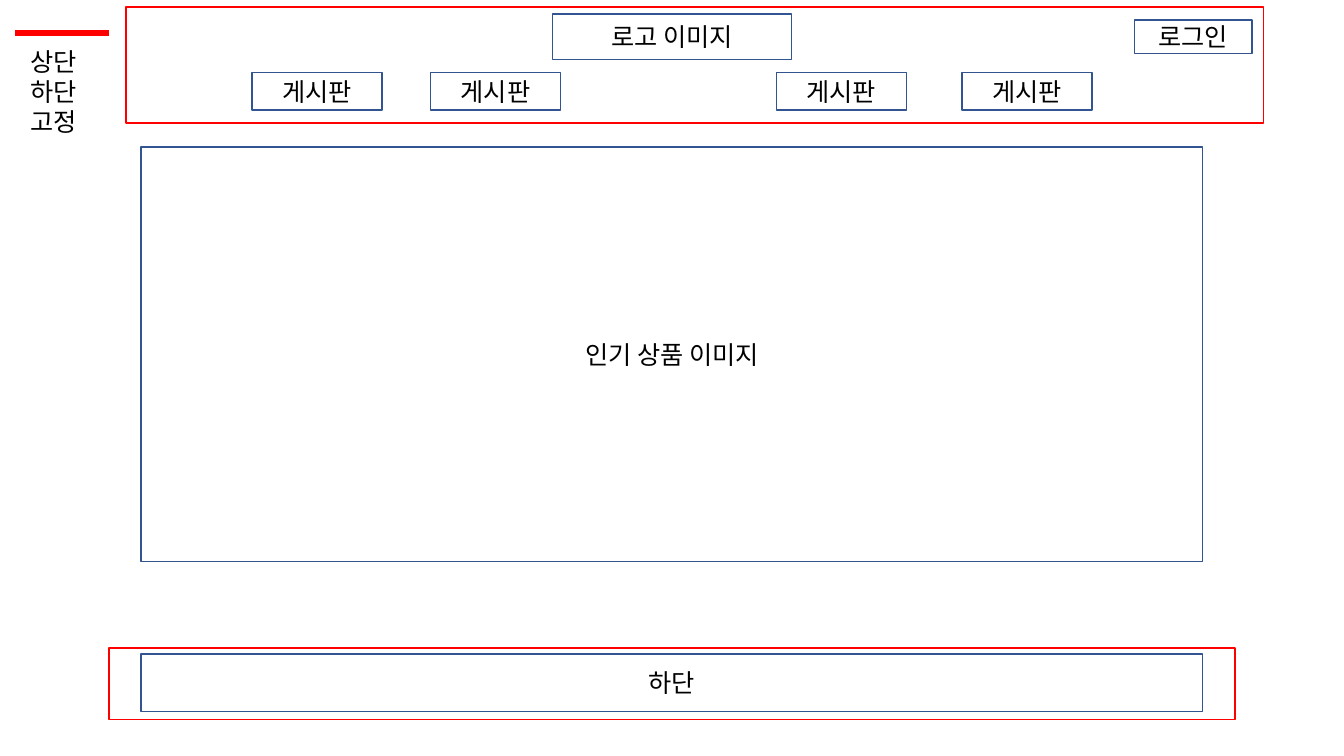
import pptx
import pptx.util
import pptx.dml.color
import pptx.enum.shapes
import pptx.enum.text
import pptx.oxml
import pptx.oxml.ns
from pptx.util import Inches

FONT = "Noto Sans CJK KR"
WHITE, BLACK, RED, BLUE = "FFFFFF", "000000", "FF0000", "325491"


def color(hex_value):
    return pptx.dml.color.RGBColor.from_string(hex_value)


def write(frame, lines, align):
    for index, line in enumerate(lines):
        paragraph = frame.paragraphs[0] if index == 0 else frame.add_paragraph()
        paragraph.alignment = align
        paragraph.line_spacing = pptx.util.Pt(21.4)
        run = paragraph.add_run()
        run.text = line
        for key, value in {"name": FONT, "size": pptx.util.Pt(18)}.items():
            setattr(run.font, key, value)
        run.font.color.rgb = color(BLACK)
        # Korean text takes the East Asian typeface
        east_asian = pptx.oxml.parse_xml(
            f'<a:ea {pptx.oxml.ns.nsdecls("a")} typeface="{FONT}"/>')
        run.font._element.append(east_asian)


presentation = pptx.Presentation()
presentation.slide_width = Inches(13.33)
presentation.slide_height = Inches(7.5)
slide = presentation.slides.add_slide(presentation.slide_layouts[6])

# Red frames mark the fixed areas, blue boxes the page parts
page_parts = [
    (1.08, 6.43, 11.17, 0.71, RED, ""),
    (1.25, 0.07, 11.28, 1.15, RED, ""),
    (5.48, 0.14, 2.37, 0.45, BLUE, "로고 이미지"),
    (11.25, 0.2, 1.17, 0.33, BLUE, "로그인"),
    (1.4, 1.46, 10.53, 4.11, BLUE, "인기 상품 이미지"),
    *[(left, 0.72, 1.29, 0.37, BLUE, "게시판") for left in (2.5, 4.27, 7.7, 9.54)],
    (1.4, 6.49, 10.53, 0.57, BLUE, "하단"),
]
for left, top, width, height, outline, label in page_parts:
    part = slide.shapes.add_shape(
        pptx.enum.shapes.MSO_SHAPE.RECTANGLE,
        Inches(left), Inches(top), Inches(width), Inches(height))
    part.shadow.inherit = False
    part.fill.solid()
    part.fill.fore_color.rgb = color(WHITE)
    part.line.color.rgb = color(outline)
    part.line.width = pptx.util.Pt(1)
    part.text_frame.vertical_anchor = pptx.enum.text.MSO_ANCHOR.MIDDLE
    if label:
        write(part.text_frame, [label], pptx.enum.text.PP_ALIGN.CENTER)

# Legend: red means the top and bottom stay fixed
legend_line = slide.shapes.add_connector(
    pptx.enum.shapes.MSO_CONNECTOR.STRAIGHT,
    Inches(0.15), Inches(0.33), Inches(1.08), Inches(0.33))
legend_line.line.color.rgb = color(RED)
legend_line.line.width = pptx.util.Pt(4.5)
legend_line._element.spPr.append(
    pptx.oxml.parse_xml(f'<a:effectLst {pptx.oxml.ns.nsdecls("a")}/>'))

legend_text = slide.shapes.add_textbox(
    Inches(0.2), Inches(0.41), Inches(1.42), Inches(1.31))
legend_text.text_frame.word_wrap = True
write(legend_text.text_frame, ["상단", "하단", "고정"], pptx.enum.text.PP_ALIGN.LEFT)

presentation.save("out.pptx")
